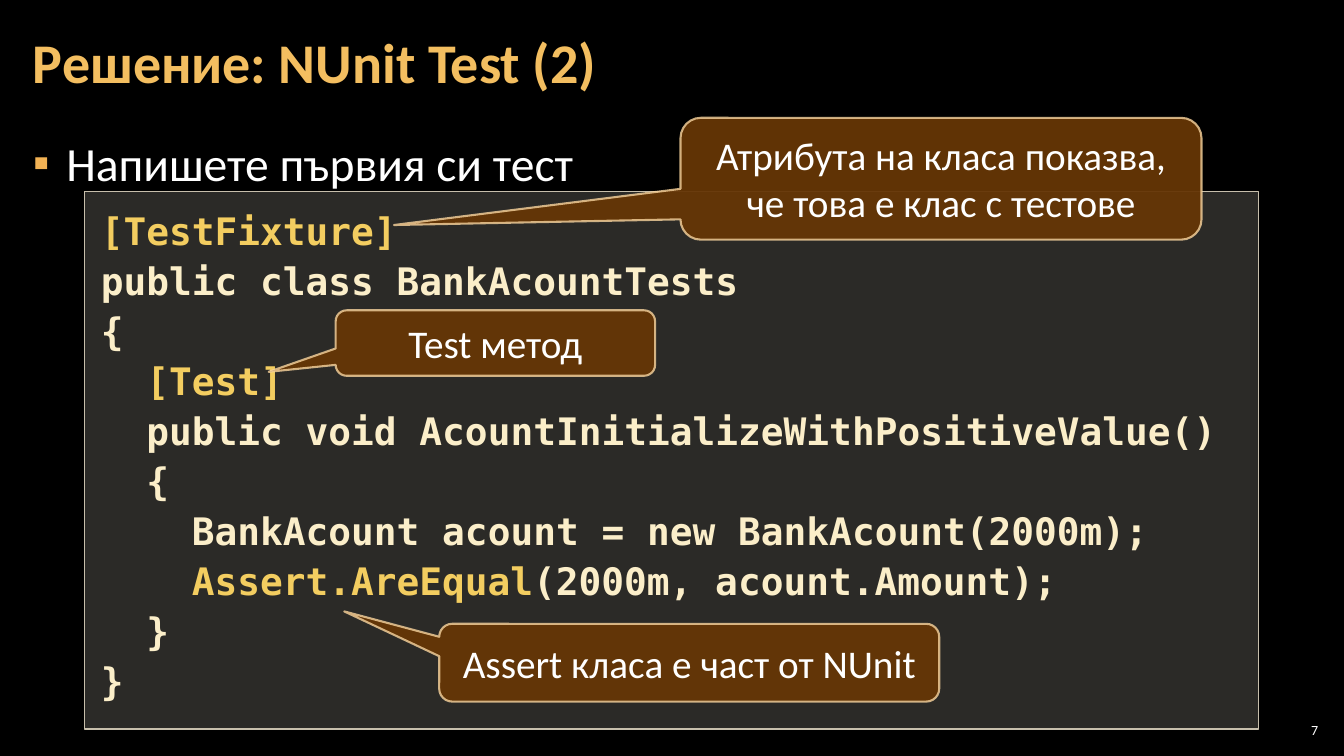
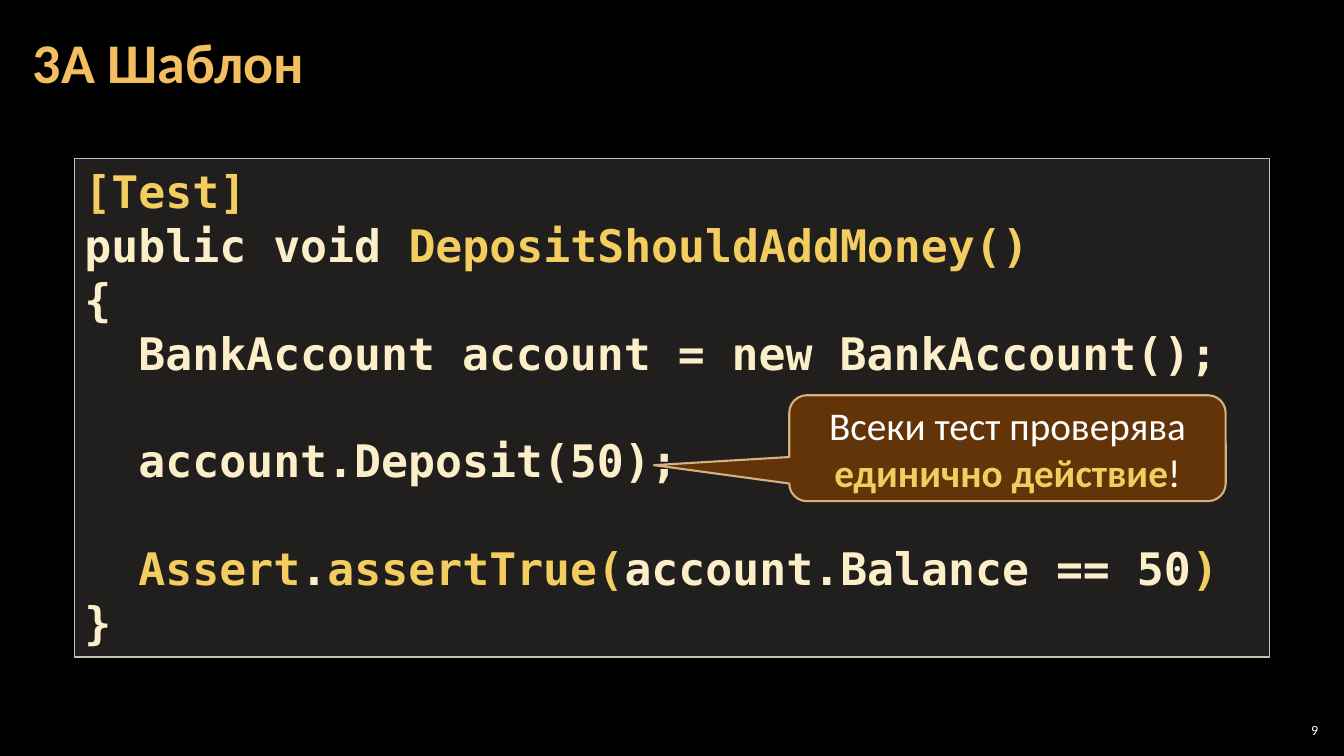
import lxml.etree
import pptx
import pptx.dml.color
import pptx.enum.shapes
import pptx.enum.text
import pptx.oxml.ns
import pptx.util

Cm, Pt = pptx.util.Cm, pptx.util.Pt
SHAPES = pptx.enum.shapes.MSO_SHAPE
ALIGN = pptx.enum.text.PP_ALIGN
ANCHOR = pptx.enum.text.MSO_ANCHOR
qn = pptx.oxml.ns.qn

COLORS = {
    "background": "000000",
    "title": "F3BE60",
    "bullet": "F2B254",
    "white": "FFFFFF",
    "code": "FBEEC9",
    "highlight": "F3CD60",
    "panel": "D9D5C7",
    "panel_line": "C7BFAC",
    "callout": "663606",
    "callout_line": "F8D49E",
}
TEXT_FONT = "Calibri"
CODE_FONT = "DejaVu Sans Mono"

# Pieces of text between bars are highlighted.
SLIDES = [
    {
        "title": "Решение: NUnit Test (2)",
        "bullet": "Напишете първия си тест",
        "number": "7",
        "panel": (2.13, 4.83, 29.59, 13.54),
        "panel_opacity": 20,
        "insets": (0.41, 0.3),
        "code_size": 27,
        "line_pitch": 35.7,
        "code": """|[TestFixture]|
public class BankAcountTests
{
  |[Test]|
  public void AcountInitializeWithPositiveValue()
  {
    BankAcount acount = new BankAcount(2000m);
    |Assert.AreEqual|(2000m, acount.Amount);
  }
}""",
        "callouts": [
            ("Атрибута на класа показва, че това е клас с тестове",
             (17.15, 2.97, 13.13, 3.07), (-1.05, 0.38)),
            ("Test метод", (8.46, 7.82, 8.05, 1.65), (-0.71, 0.44)),
            ("Assert класа е част от NUnit",
             (11.07, 15.72, 12.6, 1.96), (-0.69, -0.66)),
        ],
    },
    {
        "title": "3A Шаблон",
        "bullet": None,
        "number": "9",
        "panel": (1.88, 3.99, 30.12, 12.57),
        "panel_opacity": 15,
        "insets": (0.25, 0.13),
        "code_size": 32,
        "line_pitch": 38.5,
        "code": """|[Test]|
public void |DepositShouldAddMoney()|
{
  BankAccount account = new BankAccount();

  account.Deposit(50);

  |Assert|.|assertTrue(|account.Balance == 50|)|
}""",
        "callouts": [
            ("Всеки тест проверява |единично действие|!",
             (19.89, 9.96, 11, 2.67), (-0.81, 0.16)),
        ],
    },
]


def add_panel(slide, kind, box, fill, opacity, line, line_width, line_opacity):
    """Add a shape with a see-through fill and outline."""
    shape = slide.shapes.add_shape(kind, *map(Cm, box))
    shape.shadow.inherit = False
    shape.fill.solid()
    shape.fill.fore_color.rgb = pptx.dml.color.RGBColor.from_string(COLORS[fill])
    shape.line.color.rgb = pptx.dml.color.RGBColor.from_string(COLORS[line])
    shape.line.width = Pt(line_width)
    colors = shape.element.spPr.iter(qn("a:srgbClr"))
    for color, percent in zip(list(colors), (opacity, line_opacity)):
        alpha = lxml.etree.SubElement(color, qn("a:alpha"))
        alpha.set("val", str(percent * 1000))
    shape.text_frame.word_wrap = True
    return shape


def write_text(paragraph, text, size, color, font=TEXT_FONT, bold=False):
    """Write text; the pieces between bars are bold and highlighted."""
    for index, piece in enumerate(text.split("|")):
        if not piece:
            continue
        highlighted = index % 2 == 1
        run = paragraph.add_run()
        run.text = piece
        run.font.name = font
        run.font.size = Pt(size)
        run.font.bold = bold or highlighted
        run.font.color.rgb = pptx.dml.color.RGBColor.from_string(
            COLORS["highlight" if highlighted else color])


presentation = pptx.Presentation()
presentation.slide_width = Cm(33.87)
presentation.slide_height = Cm(19.05)
background = presentation.slide_master.background.fill
background.solid()
background.fore_color.rgb = pptx.dml.color.RGBColor.from_string(COLORS["background"])

for content in SLIDES:
    layout = presentation.slide_layouts.get_by_name(
        "Title and Content" if content["bullet"] else "Title Only")
    slide = presentation.slides.add_slide(layout)

    placeholders = [(slide.shapes.title, (0.53, 0.1, 32.79, 3.07))]
    if content["bullet"]:
        placeholders.append((slide.placeholders[1], (0.53, 3.2, 32.79, 15.47)))
    for placeholder, box in placeholders:
        placeholder.left, placeholder.top, placeholder.width, placeholder.height = map(Cm, box)
        frame = placeholder.text_frame
        frame.auto_size = pptx.enum.text.MSO_AUTO_SIZE.NONE
        frame.margin_left = frame.margin_right = Cm(0.3)
        frame.margin_top = frame.margin_bottom = Cm(0.1)
        frame.paragraphs[0].alignment = ALIGN.LEFT

    title_frame = slide.shapes.title.text_frame
    title_frame.vertical_anchor = ANCHOR.MIDDLE
    title_frame.paragraphs[0].line_spacing = 0.9
    write_text(title_frame.paragraphs[0], content["title"], 40, "title", bold=True)

    if content["bullet"]:
        paragraph = slide.placeholders[1].text_frame.paragraphs[0]
        paragraph.line_spacing = 1.05
        paragraph.space_before = Pt(0)
        paragraph.space_after = Pt(6)
        properties = paragraph._p.get_or_add_pPr()
        properties.set("marL", str(Cm(0.84)))
        properties.set("indent", str(-Cm(0.84)))
        bullet_color = lxml.etree.SubElement(properties, qn("a:buClr"))
        lxml.etree.SubElement(bullet_color, qn("a:srgbClr")).set("val", COLORS["bullet"])
        lxml.etree.SubElement(properties, qn("a:buChar")).set("char", "▪")
        write_text(paragraph, content["bullet"], 34, "white")

    panel = add_panel(slide, SHAPES.RECTANGLE, content["panel"], "panel",
                      content["panel_opacity"], "panel_line", 1, 100)
    frame = panel.text_frame
    frame.vertical_anchor = ANCHOR.TOP
    frame.margin_left = frame.margin_right = Cm(content["insets"][0])
    frame.margin_top = frame.margin_bottom = Cm(content["insets"][1])
    for index, line in enumerate(content["code"].split("\n")):
        paragraph = frame.add_paragraph() if index else frame.paragraphs[0]
        paragraph.alignment = ALIGN.LEFT
        paragraph.line_spacing = Pt(content["line_pitch"])
        write_text(paragraph, line, content["code_size"], "code", CODE_FONT, bold=True)

    for text, box, tip in content["callouts"]:
        callout = add_panel(slide, SHAPES.ROUNDED_RECTANGULAR_CALLOUT, box,
                            "callout", 95, "callout_line", 1.5, 80)
        callout.adjustments[0], callout.adjustments[1] = tip
        callout.text_frame.vertical_anchor = ANCHOR.MIDDLE
        callout.text_frame.paragraphs[0].alignment = ALIGN.CENTER
        write_text(callout.text_frame.paragraphs[0], text, 28, "white")

    number_box = slide.shapes.add_textbox(Cm(32.13), Cm(18.14), Cm(1.19), Cm(0.53))
    frame = number_box.text_frame
    frame.word_wrap = True
    frame.vertical_anchor = ANCHOR.MIDDLE
    frame.margin_left = frame.margin_right = Cm(0.1)
    frame.margin_top = frame.margin_bottom = Cm(0.1)
    frame.paragraphs[0].alignment = ALIGN.RIGHT
    write_text(frame.paragraphs[0], content["number"], 10, "white")

presentation.save("out.pptx")
